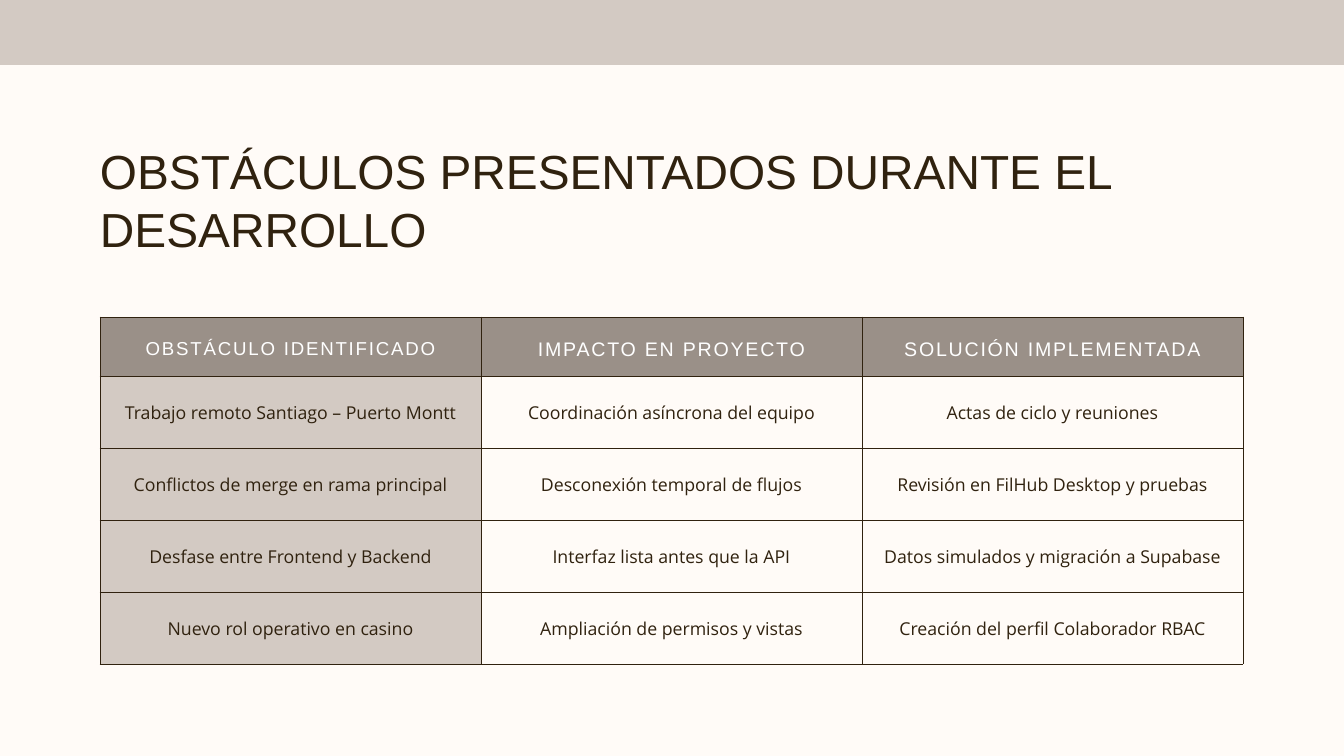
import pptx
import pptx.dml.color
import pptx.enum.shapes
import pptx.enum.text
import pptx.oxml
import pptx.oxml.ns
import pptx.util

EMU_PER_PX = 914400 / 67.2
SLIDE_WIDTH, SLIDE_HEIGHT = 1344, 756
COLORS = {
    "paper": "FFFBF7",
    "sand": "D3CAC3",
    "taupe": "9A9088",
    "ink": "30220F",
    "white": "FFFFFF",
}
HEADINGS = [
    ("OBSTÁCULO IDENTIFICADO", 20),
    ("IMPACTO EN PROYECTO", 21),
    ("SOLUCIÓN IMPLEMENTADA", 21),
]
OBSTACLES = [
    ("Trabajo remoto Santiago – Puerto Montt", "Coordinación asíncrona del equipo",
     "Actas de ciclo y reuniones"),
    ("Conflictos de merge en rama principal", "Desconexión temporal de flujos",
     "Revisión en FilHub Desktop y pruebas"),
    ("Desfase entre Frontend y Backend", "Interfaz lista antes que la API",
     "Datos simulados y migración a Supabase"),
    ("Nuevo rol operativo en casino", "Ampliación de permisos y vistas",
     "Creación del perfil Colaborador RBAC"),
]


def px(length):
    """Turn a length in px into EMU."""
    return pptx.util.Emu(round(length * EMU_PER_PX))


def paint(fill, color):
    """Give a fill one solid named colour."""
    fill.solid()
    fill.fore_color.rgb = pptx.dml.color.RGBColor.from_string(COLORS[color])


def write(frame, text, *, size, leading, font="Arial", color="ink", align="LEFT", tracking=0):
    """Write one formatted paragraph into a text frame."""
    frame.word_wrap = True
    paragraph = frame.paragraphs[0]
    paragraph.alignment = getattr(pptx.enum.text.PP_ALIGN, align)
    paragraph.line_spacing = pptx.util.Pt(leading)
    run = paragraph.add_run()
    run.text = text
    run.font.name = font
    run.font.size = pptx.util.Pt(size)
    run.font.color.rgb = pptx.dml.color.RGBColor.from_string(COLORS[color])
    if tracking:
        run.font._element.set("spc", str(round(tracking * 100)))


def style_cell(cell, fill, margin=14):
    """Set the borders, fill, margins and anchor of a table cell."""
    properties = cell._tc.get_or_add_tcPr()
    for side in ("lnL", "lnR", "lnT", "lnB"):
        properties.append(pptx.oxml.parse_xml(
            f'<a:{side} {pptx.oxml.ns.nsdecls("a")} w="{pptx.util.Pt(0.75)}"><a:solidFill>'
            f'<a:srgbClr val="{COLORS["ink"]}"/></a:solidFill></a:{side}>'))
    paint(cell.fill, fill)
    cell.margin_left = cell.margin_right = px(margin)
    cell.margin_top = cell.margin_bottom = px(margin)
    cell.vertical_anchor = pptx.enum.text.MSO_ANCHOR.MIDDLE


def add_band(slide, left, top, width, height):
    """Place the plain band that bleeds over the top edge."""
    band = slide.shapes.add_shape(pptx.enum.shapes.MSO_SHAPE.RECTANGLE,
                                  px(left), px(top), px(width), px(height))
    band.shadow.inherit = False
    paint(band.fill, "sand")
    band.line.fill.background()


def add_title(slide, left, top, width, height):
    """Place the slide title."""
    frame = slide.shapes.add_textbox(px(left), px(top), px(width), px(height)).text_frame
    frame.margin_left = frame.margin_right = frame.margin_top = frame.margin_bottom = 0
    write(frame, "OBSTÁCULOS PRESENTADOS DURANTE EL DESARROLLO", size=51.2, leading=61.5)


def add_obstacle_table(slide, left, top, width, height, heading_height=59):
    """Place the table of obstacles, impacts and solutions."""
    table = slide.shapes.add_table(len(OBSTACLES) + 1, len(HEADINGS),
                                   px(left), px(top), px(width), px(height)).table
    for column in table.columns:
        column.width = px(width / len(HEADINGS))
    for row in table.rows:
        row.height = px((height - heading_height) / len(OBSTACLES))
    table.rows[0].height = px(heading_height)

    for col, (heading, size) in enumerate(HEADINGS):
        cell = table.cell(0, col)
        style_cell(cell, "taupe")
        write(cell.text_frame, heading, size=size, leading=size * 1.4,
              color="white", align="CENTER", tracking=1.9)
    for row, entries in enumerate(OBSTACLES, start=1):
        for col, entry in enumerate(entries):
            cell = table.cell(row, col)
            style_cell(cell, "paper" if col else "sand")
            write(cell.text_frame, entry, size=19, leading=26.6,
                  font="Open Sans", align="CENTER")


def main():
    """Build the slide and save it."""
    deck = pptx.Presentation()
    deck.slide_width, deck.slide_height = px(SLIDE_WIDTH), px(SLIDE_HEIGHT)
    slide = deck.slides.add_slide(deck.slide_layouts[6])
    paint(slide.background.fill, "paper")
    add_obstacle_table(slide, 100, 317, 1143, 347)
    add_title(slide, 100, 142, 1086, 114)
    add_band(slide, -400, -114, 1832, 179)
    deck.save("out.pptx")


if __name__ == "__main__":
    main()
